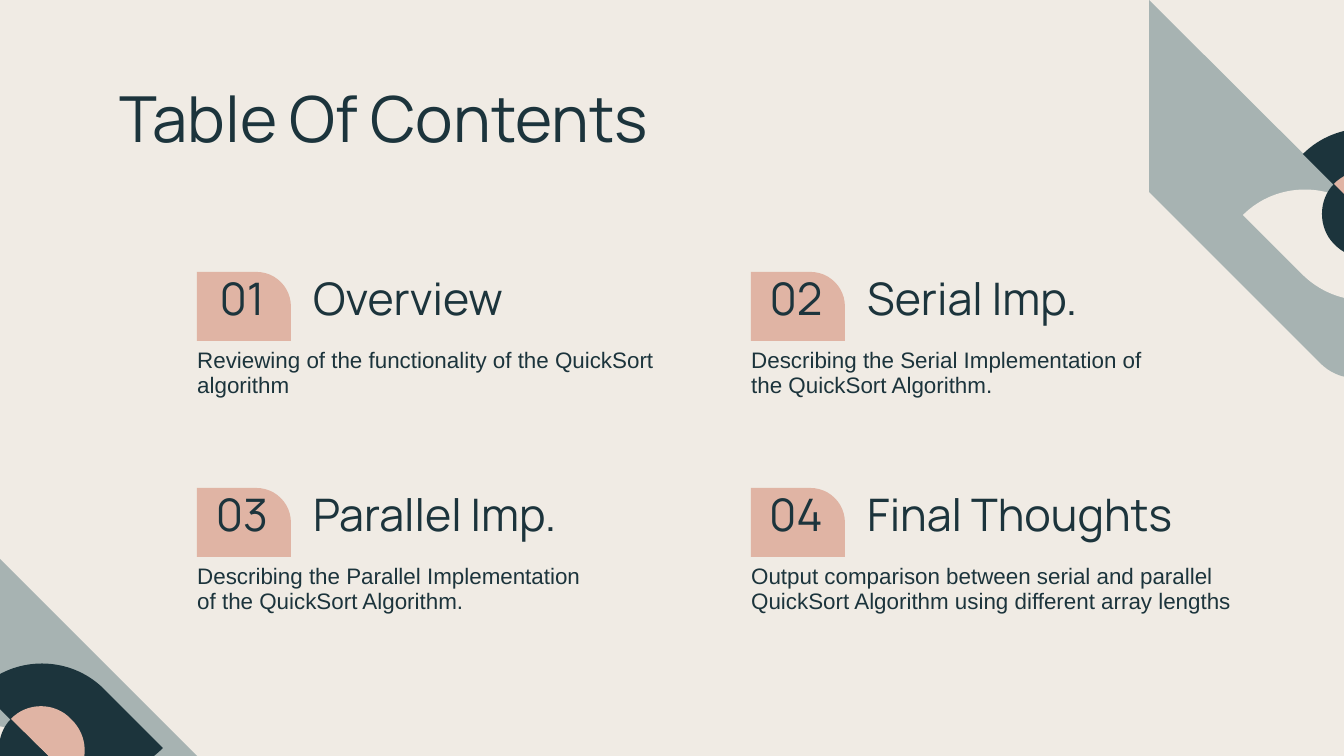
from dataclasses import dataclass

from lxml import etree
from pptx import Presentation
from pptx import util as u
from pptx.dml import color
from pptx.enum import shapes, text
from pptx.oxml import ns

EMU_PER_PX = 914400 / 134.4
WIDTH, HEIGHT = 1344, 756

COLUMNS, ROWS = (197, 751), (272, 488)
TOPICS = [
    ("Overview", 306, "Reviewing of the functionality of the QuickSort algorithm", 508),
    ("Serial Imp.", 306, "Describing the Serial Implementation of the QuickSort Algorithm.", 422),
    ("Parallel Imp.", 332, "Describing the Parallel Implementation of the QuickSort Algorithm.", 422),
    ("Final Thoughts", 384,
     "Output comparison between serial and parallel QuickSort Algorithm using different array lengths", 519),
]

TOP_BAND = [[(1470, 320)], [(1149, 0)], [(1149, 192)], [(1320, 363)],
            [(1329, 372), (1341, 378), (1355, 378)], [(1469, 378)]]
BOTTOM_BAND = [[(233, 792)], [(-89, 470)], [(-89, 663)], [(129, 880)], [(233, 879)]]
LID = [[(0, 0)], [(34, -34), (90, -34), (124, 0)], [(183, 59)], [(149, 94), (94, 94), (59, 59)]]
LOWER_PUPIL = [[(31, 90)], [(48, 108), (75, 108), (93, 91)], [(31, 30)], [(15, 46), (15, 74), (31, 90)]]
UPPER_PUPIL = [[(91, 30)], [(75, 13), (47, 13), (31, 30)], [(93, 91)], [(109, 74), (109, 47), (91, 30)]]


@dataclass(frozen=True)
class Theme:
    """Colours, fonts and type sizes of the deck."""

    paper: str = "F0EBE4"
    ink: str = "1C343C"
    blush: str = "E0B4A4"
    sage: str = "A7B3B2"
    display_font: str = "Manrope"
    body_font: str = "Arial"
    title_size: int = 34
    heading_size: int = 24
    body_size: int = 12
    line_spacing: float = 0.9


def px(length):
    """Turn pixels into EMU."""
    return u.Emu(round(length * EMU_PER_PX))


def bend(shape, steps):
    """Merge each three-point step of a freeform into one cubic curve."""
    segments = iter(shape.element.findall(".//" + ns.qn("a:lnTo")))
    for step in steps[1:]:
        first, *others = [next(segments) for _ in step]
        if others:
            first.tag = ns.qn("a:cubicBezTo")
            for segment in others:
                first.append(segment[0])
                segment.getparent().remove(segment)


class SlideBuilder:
    """Draws themed elements on the current slide."""

    def __init__(self, slide, theme):
        """Keep the slide and theme and paint the background."""
        self.slide = slide
        self.theme = theme
        self.paint(slide.background.fill, theme.paper)

    def paint(self, fill, tone):
        """Make a fill solid in one colour."""
        fill.solid()
        fill.fore_color.rgb = color.RGBColor.from_string(tone)

    def finish(self, shape, tone):
        """Give a shape a flat fill without line or shadow."""
        self.paint(shape.fill, tone)
        shape.line.fill.background()
        shape.shadow.inherit = False

    def text(self, wording, left, top, width, height, size, font=None, align=text.PP_ALIGN.LEFT):
        """Add a wrapped one-paragraph text box."""
        box = self.slide.shapes.add_textbox(px(left), px(top), px(width), px(height))
        box.text_frame.word_wrap = True
        paragraph = box.text_frame.paragraphs[0]
        paragraph.text = wording
        paragraph.alignment = align
        paragraph.line_spacing = self.theme.line_spacing
        paragraph.font.name = font or self.theme.display_font
        paragraph.font.size = u.Pt(size)
        paragraph.font.color.rgb = color.RGBColor.from_string(self.theme.ink)

    def badge(self, left, top):
        """Add a number tile with one rounded corner."""
        shape = self.slide.shapes.add_shape(
            shapes.MSO_SHAPE.ROUND_1_RECTANGLE, px(left), px(top), px(94), px(69))
        shape.adjustments[0] = 0.5
        self.finish(shape, self.theme.blush)

    def topic(self, number, left, top, heading, heading_width, summary, summary_width):
        """Add a numbered heading with its summary."""
        theme = self.theme
        self.badge(left, top)
        self.text(f"{number:02}", left - 12, top - 2, 114, 58, theme.heading_size, align=text.PP_ALIGN.CENTER)
        self.text(heading, left + 103, top - 2, heading_width, 58, theme.heading_size)
        self.text(summary, left - 13, top + 71, summary_width, 78, theme.body_size, theme.body_font)

    def outline(self, group, steps, tone, left=0, top=0):
        """Add a closed freeform of lines and curves to a group."""
        points = [(px(left + x), px(top + y)) for step in steps for x, y in step]
        builder = group.shapes.build_freeform(*points[0], scale=1.0)
        builder.add_line_segments(points[1:], close=True)
        shape = builder.convert_to_shape()
        bend(shape, steps)
        self.finish(shape, tone)

    def ornament(self, band, left, top):
        """Add a grouped corner band with two lids and a split pupil."""
        theme = self.theme
        group = self.slide.shapes.add_group_shape()
        self.outline(group, band, theme.sage)
        self.outline(group, LID, theme.ink, left, top)
        self.outline(group, LID, theme.paper, left - 60, top + 61)
        self.outline(group, LOWER_PUPIL, theme.ink, left, top)
        self.outline(group, UPPER_PUPIL, theme.blush, left, top)


def main():
    """Build and save the contents slide."""
    presentation = Presentation()
    presentation.slide_width, presentation.slide_height = px(WIDTH), px(HEIGHT)
    theme = Theme()
    page = SlideBuilder(presentation.slides.add_slide(presentation.slide_layouts[6]), theme)

    for index, topic in enumerate(TOPICS):
        row, column = divmod(index, len(COLUMNS))
        page.topic(index + 1, COLUMNS[column], ROWS[row], *topic)
    page.text("Table Of Contents", 106, 81, 1132, 94, theme.title_size)

    page.ornament(TOP_BAND, 1303, 154)
    page.ornament(BOTTOM_BAND, -20, 689)
    presentation.save("out.pptx")


if __name__ == "__main__":
    main()
